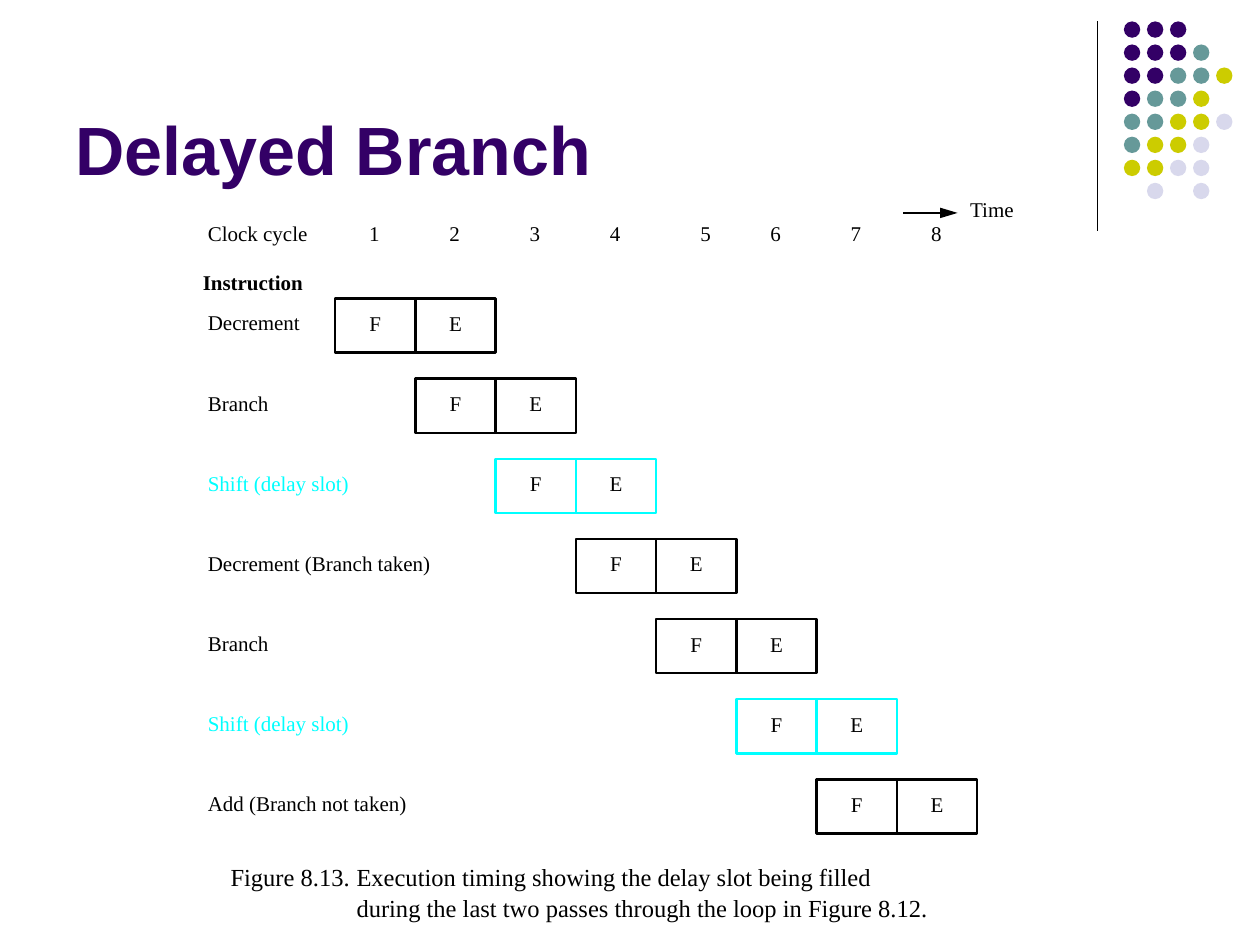
from lxml import etree
from pptx import Presentation
from pptx.dml.color import RGBColor
from pptx.enum.shapes import MSO_CONNECTOR, MSO_SHAPE
from pptx.enum.text import MSO_ANCHOR as Anchor, PP_ALIGN as Align
from pptx.oxml.ns import qn
from pptx.util import Inches, Pt

BLACK, CYAN, PURPLE = "000000", "00FFFF", "330066"
SERIF = "Times New Roman"
LINE_WIDTH = 1.38

DOT_COLOURS = {"P": PURPLE, "T": "669999", "Y": "CCCC00", "L": "D8D8EC"}
DOT_ROWS = ["PPP", "PPPT", "PPTTY", "PTTY", "TTYYL", "TYYL", "YYLL", ".L.L"]

INSTRUCTIONS = [
    ("Decrement", BLACK),
    ("Branch", BLACK),
    ("Shift (delay slot)", CYAN),
    ("Decrement (Branch taken)", BLACK),
    ("Branch", BLACK),
    ("Shift (delay slot)", CYAN),
    ("Add (Branch not taken)", BLACK),
]
CYCLE_COUNT = 8
CYCLE_NUDGES = {5: 0.08}
CAPTION_LINES = [
    "Figure 8.13.\tExecution timing showing the delay slot being filled",
    "during the last two passes through the loop in Figure 8.12.",
]


def colour(hex_string):
    return RGBColor.from_string(hex_string)


def add_run(para, text, size, hex_string=BLACK, bold=False, font=SERIF):
    span = para.add_run()
    span.text = text
    span.font.name = font
    span.font.size = Pt(size)
    span.font.bold = bold
    span.font.color.rgb = colour(hex_string)


def add_frame(page, left, top, width, height, wrap=False):
    """Add a text box without margins and return its text frame."""
    box = page.shapes.add_textbox(Inches(left), Inches(top), Inches(width), Inches(height))
    frame = box.text_frame
    frame.margin_left = frame.margin_right = frame.margin_top = frame.margin_bottom = 0
    frame.word_wrap = wrap
    return frame


def add_label(page, left, top, text, width, hex_string=BLACK, bold=False):
    frame = add_frame(page, left, top, width, 0.2)
    add_run(frame.paragraphs[0], text, 12, hex_string, bold)


def add_line(page, start, end, width):
    line = page.shapes.add_connector(MSO_CONNECTOR.STRAIGHT, *map(Inches, (*start, *end)))
    line.line.color.rgb = colour(BLACK)
    line.line.width = Pt(width)
    etree.SubElement(line._element.spPr, qn("a:effectLst"))
    return line


def add_corner_dots(page, left, top):
    add_line(page, (left, top), (left, top + 1.66), 0.75)
    pitch, size = 0.183, 0.13
    for row, pattern in enumerate(DOT_ROWS):
        for column, key in enumerate(pattern):
            if key not in DOT_COLOURS:
                continue
            dot = page.shapes.add_shape(
                MSO_SHAPE.OVAL, Inches(left + 0.21 + column * pitch),
                Inches(top + row * pitch), Inches(size), Inches(size))
            dot.shadow.inherit = False
            dot.fill.solid()
            dot.fill.fore_color.rgb = colour(DOT_COLOURS[key])
            dot.line.fill.background()


def add_title(page, left, top, width, height):
    frame = add_frame(page, left, top, width, height, wrap=True)
    frame.margin_left = frame.margin_right = Inches(0.1)
    frame.margin_top = frame.margin_bottom = Inches(0.05)
    frame.vertical_anchor = Anchor.BOTTOM
    add_run(frame.paragraphs[0], "Delayed Branch", 39, PURPLE, True, "Arial")


def add_stage(page, left, top, width, height, letter, hex_string):
    cell = page.shapes.add_shape(
        MSO_SHAPE.RECTANGLE, Inches(left), Inches(top), Inches(width), Inches(height))
    cell.shadow.inherit = False
    cell.fill.background()
    cell.line.color.rgb = colour(hex_string)
    cell.line.width = Pt(LINE_WIDTH)
    frame = cell.text_frame
    frame.margin_left = frame.margin_right = frame.margin_top = 0
    frame.margin_bottom = Inches(0.04)
    frame.vertical_anchor = Anchor.MIDDLE
    frame.paragraphs[0].alignment = Align.CENTER
    add_run(frame.paragraphs[0], letter, 12)


def add_time_arrow(page, left, top):
    arrow = add_line(page, (left, top + 0.13), (left + 0.43, top + 0.13), LINE_WIDTH)
    etree.SubElement(arrow.line._get_or_add_ln(), qn("a:tailEnd"),
                     type="triangle", w="med", len="lg")
    add_label(page, left + 0.53, top, "Time", 0.36)


def add_timing_diagram(page, left, top):
    """Draw the clock header and one staggered F/E pair for each instruction."""
    cycle_width, cell_height, row_pitch = 0.637, 0.43, 0.636
    first_cycle, first_row = left + 1.01, top + 0.62

    add_label(page, left, top, "Clock cycle", 0.81)
    for cycle in range(1, CYCLE_COUNT + 1):
        number_left = first_cycle + 0.27 + (cycle - 1) * cycle_width
        add_label(page, number_left + CYCLE_NUDGES.get(cycle, 0), top, str(cycle), 0.09)
    add_label(page, left - 0.04, top + 0.39, "Instruction", 0.86, bold=True)

    for row, (name, hex_string) in enumerate(INSTRUCTIONS):
        row_top = first_row + row * row_pitch
        add_label(page, left, row_top + 0.09, name, 1.8, hex_string)
        for stage, letter in enumerate("FE"):
            add_stage(page, first_cycle + (row + stage) * cycle_width, row_top,
                      cycle_width, cell_height, letter, hex_string)


def add_caption(page, left, top, width, height):
    frame = add_frame(page, left, top, width, height)
    for index, text in enumerate(CAPTION_LINES):
        para = frame.add_paragraph() if index else frame.paragraphs[0]
        properties = para._p.get_or_add_pPr()
        properties.set("marL", str(Inches(1)))
        properties.set("indent", str(0 if index else -Inches(1)))
        para.space_before = Pt(index)
        add_run(para, text, 14)


def main():
    deck = Presentation()
    deck.slide_width, deck.slide_height = Inches(10), Inches(7.5)
    page = deck.slides.add_slide(deck.slide_layouts[6])
    add_corner_dots(page, 8.71, 0.17)
    add_title(page, 0.5, 0.13, 8.25, 1.42)
    add_time_arrow(page, 7.17, 1.56)
    add_timing_diagram(page, 1.65, 1.75)
    add_caption(page, 1.83, 6.84, 6.37, 0.66)
    deck.save("out.pptx")


if __name__ == "__main__":
    main()
